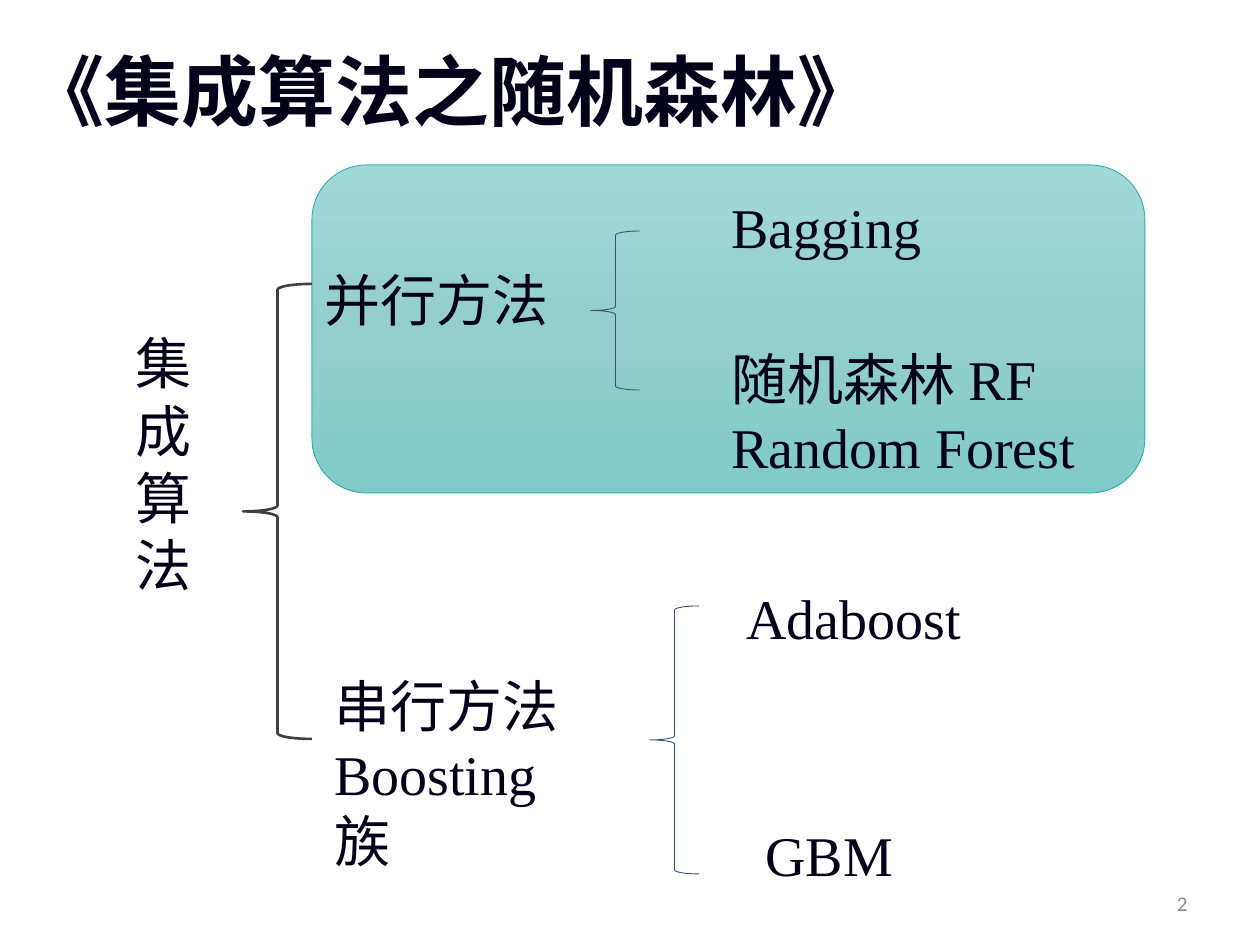
from copy import deepcopy
from pptx import Presentation
from pptx import util as u
from pptx.dml.color import RGBColor
from pptx.enum import shapes, text
from pptx.oxml.ns import qn

PX = 914400 // 126
INK = RGBColor(0x03, 0x00, 0x1A)
GREY = RGBColor(0x8C, 0x8C, 0x8C)
DARK = RGBColor(0x40, 0x40, 0x40)
BLUE = RGBColor(0x39, 0x52, 0x7B)
TEAL = RGBColor(0x30, 0xAE, 0xAB)
PANEL_STOPS = [(0, RGBColor(0xA1, 0xD9, 0xD7)),
               (0.5, RGBColor(0x94, 0xCF, 0xCD)),
               (1, RGBColor(0x80, 0xCB, 0xC9))]
HAN, LATIN, NUMBER = "Noto Sans CJK SC", "Times New Roman", "Calibri"

# Content: places are left, top, width, height in px
TITLE = ("《集成算法之随机森林》", (15, 55, 1004, 118))
PANEL = (312, 165, 833, 328)
BRACES = [  # place, colour, line width in points
    ((243, 284, 69, 455), DARK, 1.5),
    ((591, 231, 49, 159), BLUE, 0.5),
    ((650, 606, 49, 268), BLUE, 0.5),
]
LABELS = [  # place, paragraphs of (words, font), wraps
    ((123, 318, 82, 285), [[(sign, HAN)] for sign in "集成算法"], False),
    ((312, 255, 252, 81), [[("并行方法", HAN)]], False),
    ((322, 661, 270, 149),
     [[("串行方法", HAN)], [("Boosting", LATIN), ("族", HAN)]], True),
    ((719, 181, 217, 81), [[("Bagging", LATIN)]], False),
    ((719, 334, 377, 149),
     [[("随机森林 ", HAN), ("RF", LATIN)], [("Random Forest", LATIN)]], False),
    ((734, 572, 252, 81), [[("Adaboost", LATIN)]], False),
    ((753, 810, 155, 81), [[("GBM", LATIN)]], False),
]
PAGE_NUMBER = ("2", (906, 878, 294, 50))


def emu(place):
    return [value * PX for value in place]


def set_font(font, name, size, colour, bold=False):
    font.name, font.size, font.bold = name, u.Pt(size), bold
    font.color.rgb = colour


def add_span(para, words, name, size, colour, bold=False):
    span = para.add_run()
    span.text = words
    set_font(span.font, name, size, colour, bold)
    if name == HAN:
        east_asian = deepcopy(span.font._element.find(qn("a:latin")))
        east_asian.tag = qn("a:ea")
        span.font._element.find(qn("a:latin")).addnext(east_asian)


def add_outline(page, kind, place, colour, width):
    shape = page.shapes.add_shape(kind, *emu(place))
    shape.shadow.inherit = False
    shape.line.color.rgb = colour
    shape.line.width = u.Pt(width)
    return shape


def add_panel(page):
    panel = add_outline(page, shapes.MSO_SHAPE.ROUNDED_RECTANGLE, PANEL, TEAL, 0.5)
    panel.fill.gradient()
    panel.fill.gradient_angle = 270
    first = panel._element.find(".//" + qn("a:gs"))
    first.addnext(deepcopy(first))
    for stop, (position, colour) in zip(panel.fill.gradient_stops, PANEL_STOPS):
        stop.position = position
        stop.color.rgb = colour


def add_label(page, place, paragraphs, wraps):
    frame = page.shapes.add_textbox(*emu(place)).text_frame
    frame.word_wrap = wraps
    frame.margin_top = 11 * PX
    for index, spans in enumerate(paragraphs):
        para = frame.add_paragraph() if index else frame.paragraphs[0]
        para.line_spacing = u.Pt(38.4)
        for words, name in spans:
            add_span(para, words, name, 32, INK)


def main():
    deck = Presentation()
    deck.slide_width, deck.slide_height = u.Inches(10), u.Inches(7.5)
    page = deck.slides.add_slide(deck.slide_layouts[5])

    # Title
    words, place = TITLE
    title = page.shapes.title
    title.left, title.top, title.width, title.height = emu(place)
    frame = title.text_frame
    frame.vertical_anchor = text.MSO_ANCHOR.TOP
    frame.auto_size = text.MSO_AUTO_SIZE.NONE
    para = frame.paragraphs[0]
    para.alignment = text.PP_ALIGN.LEFT
    para.line_spacing = 0.8
    add_span(para, words, HAN, 44, INK, True)

    # Highlighted branch, braces and labels
    add_panel(page)
    for place, colour, width in BRACES:
        brace = add_outline(page, shapes.MSO_SHAPE.LEFT_BRACE, place, colour, width)
        brace.fill.background()
    for label in LABELS:
        add_label(page, *label)

    # Page number
    words, place = PAGE_NUMBER
    frame = page.shapes.add_textbox(*emu(place)).text_frame
    frame.word_wrap = True
    frame.vertical_anchor = text.MSO_ANCHOR.MIDDLE
    para = frame.paragraphs[0]
    para.alignment = text.PP_ALIGN.RIGHT
    add_span(para, words, NUMBER, 12, GREY)

    deck.save("out.pptx")


if __name__ == "__main__":
    main()
